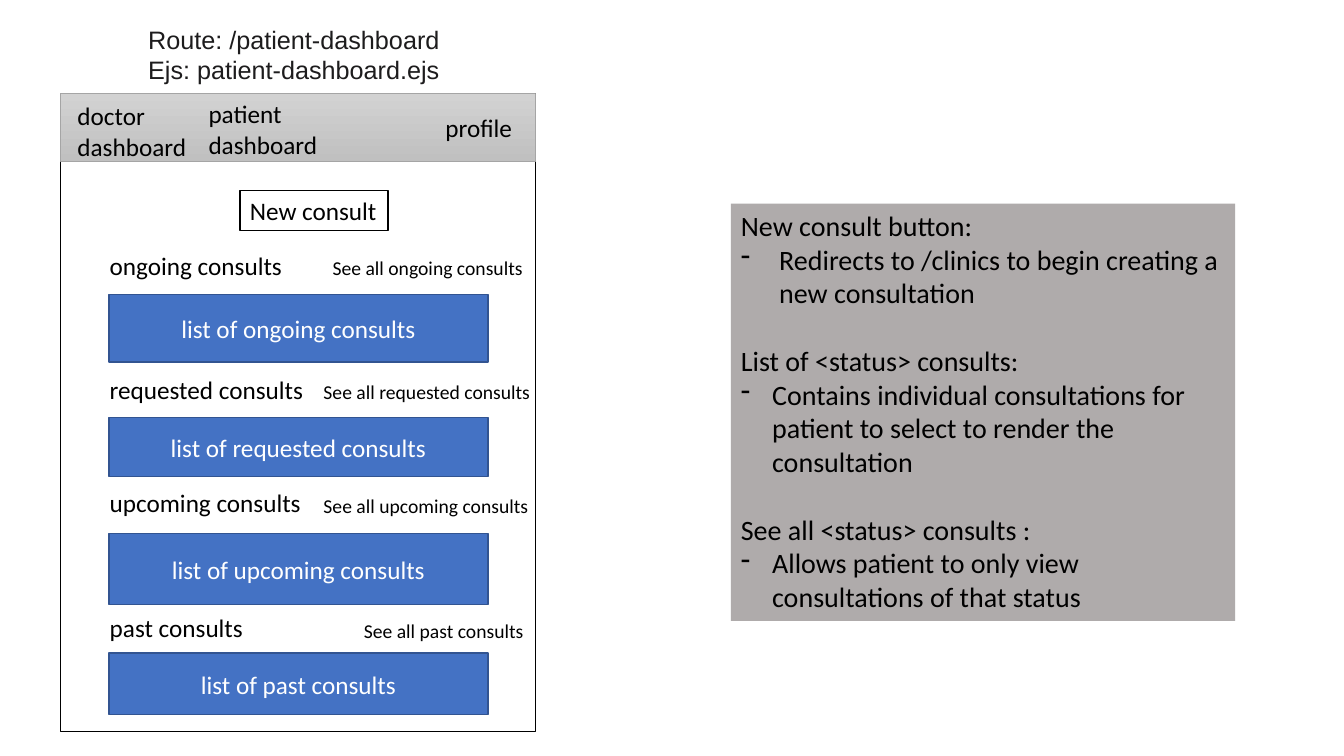
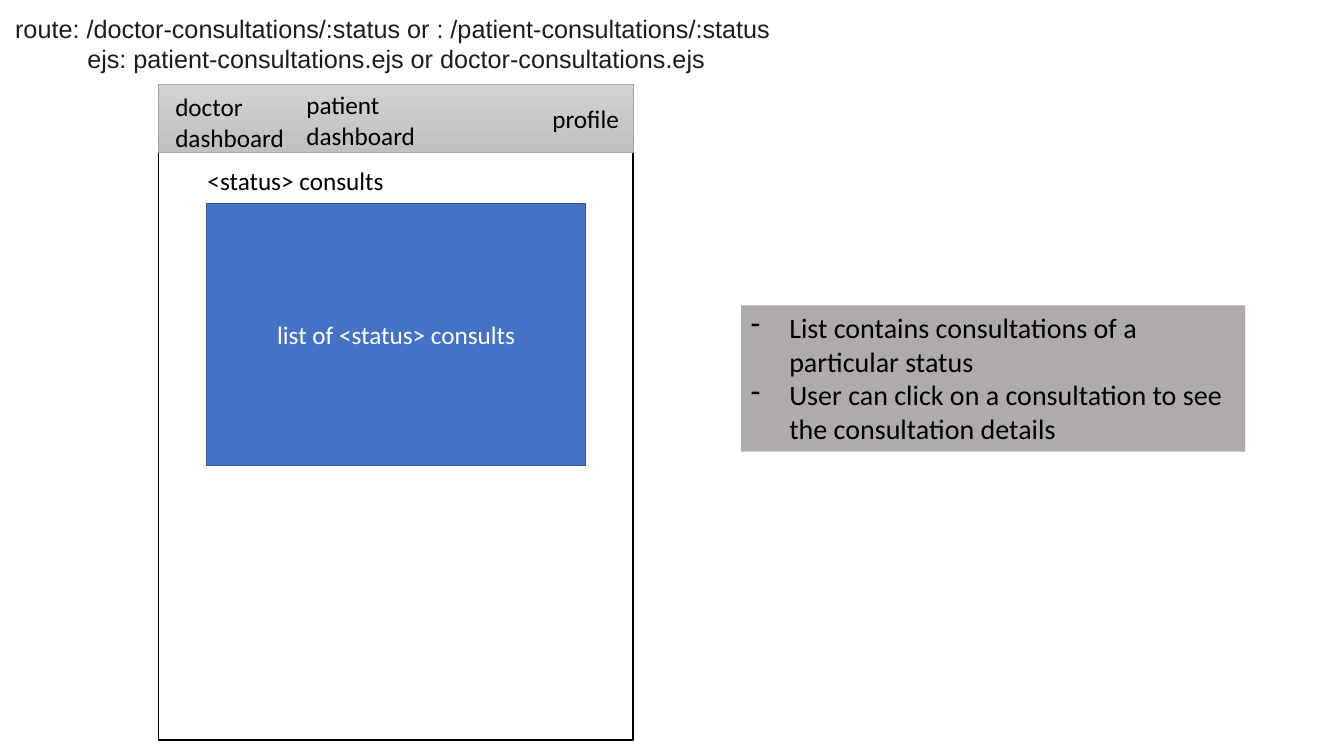
from lxml import etree
from pptx import Presentation
from pptx.dml.color import RGBColor
from pptx.enum.shapes import MSO_SHAPE
from pptx.enum.text import MSO_ANCHOR, MSO_AUTO_SIZE, PP_ALIGN
from pptx.oxml.ns import qn
from pptx.util import Inches, Pt

RECT = MSO_SHAPE.RECTANGLE
TOP, MIDDLE = MSO_ANCHOR.TOP, MSO_ANCHOR.MIDDLE
LEFT, CENTER = PP_ALIGN.LEFT, PP_ALIGN.CENTER
GROW = MSO_AUTO_SIZE.SHAPE_TO_FIT_TEXT
COLORS = {
    "black": "000000", "white": "FFFFFF", "title": "1D1C1D",
    "list": "4472C4", "list_edge": "325491", "note": "AFABAB",
    "nav_top": "D2D2D2", "nav_bottom": "C0C0C0", "nav_edge": "A5A5A5",
}
PAGE_WIDTH, NAV_HEIGHT = 4.71, 0.67
LIST_INDENT, LABEL_INDENT, LIST_WIDTH = 0.48, 0.39, 3.76


def rgb(name):
    """Return the palette colour called name."""
    return RGBColor.from_string(COLORS[name])


class Wireframe:
    """Draws page mock-ups in one shared style."""

    def __init__(self):
        """Open an empty widescreen deck."""
        self.deck = Presentation()
        self.deck.slide_width, self.deck.slide_height = Inches(13.33), Inches(7.5)
        self.shapes = None

    def new_slide(self):
        """Start a blank slide."""
        self.shapes = self.deck.slides.add_slide(self.deck.slide_layouts[6]).shapes

    def box(self, at, fill=None, edge=None, weight=1):
        """Add a rectangle with an optional fill and outline."""
        rect = self.shapes.add_shape(RECT, *map(Inches, at))
        rect.shadow.inherit = False
        if fill:
            rect.fill.solid()
            rect.fill.fore_color.rgb = rgb(fill)
        else:
            rect.fill.background()
        if edge:
            rect.line.color.rgb = rgb(edge)
            rect.line.width = Pt(weight)
        else:
            rect.line.fill.background()
        return rect

    def set_text(self, shape, lines, size=18, color="black", align=LEFT,
                 anchor=TOP, font="Calibri"):
        """Put one paragraph per line into a shape and return them."""
        frame = shape.text_frame
        frame.word_wrap = True
        frame.vertical_anchor = anchor
        if anchor == TOP:
            frame.auto_size = GROW
        frame.text = "\n".join(lines)
        for paragraph in frame.paragraphs:
            paragraph.alignment = align
            paragraph.font.size, paragraph.font.name = Pt(size), font
            paragraph.font.color.rgb = rgb(color)
        return frame.paragraphs

    def label(self, at, *lines, **style):
        """Add a plain text box."""
        self.set_text(self.shapes.add_textbox(*map(Inches, at)), lines, **style)

    def title(self, at, *lines):
        """Add the route and template heading."""
        self.label(at, *lines, color="title", align=CENTER, font="Arial")

    def consult_list(self, page_left, top, height, status):
        """Add the blue block standing for a list of consults."""
        block = self.box((page_left + LIST_INDENT, top, LIST_WIDTH, height),
                         "list", "list_edge")
        self.set_text(block, [f"list of {status} consults"], color="white",
                      align=CENTER, anchor=MIDDLE)

    def status_label(self, page_left, top, status):
        """Add the heading above a list of consults."""
        self.label((page_left + LABEL_INDENT, top, 3.86, 0.4), f"{status} consults")

    def nav_bar(self, left, top, profile_width):
        """Add the grouped navigation bar of a page."""
        slide_shapes = self.shapes
        self.shapes = slide_shapes.add_group_shape().shapes
        bar = self.box((left, top, PAGE_WIDTH, NAV_HEIGHT), "nav_top", "nav_edge", 0.5)
        bar.fill.gradient()
        bar.fill.gradient_angle = 270
        for stop, name in zip(bar.fill.gradient_stops, ("nav_top", "nav_bottom")):
            stop.color.rgb = rgb(name)
        self.label((left + PAGE_WIDTH - profile_width, top + 0.14, profile_width, 0.4),
                   "profile")
        self.label((left + 0.07, top + 0.02, 1.37, 0.71), "doctor\vdashboard")
        self.label((left + 1.37, top, 1.37, 0.71), "patient\vdashboard")
        self.shapes = slide_shapes

    def note(self, at, entries):
        """Add a grey note; entries are (text, dash indent or 0)."""
        panel = self.box(at, "note")
        paragraphs = self.set_text(panel, [text for text, _ in entries], size=20)
        for index, (paragraph, (_, indent)) in enumerate(zip(paragraphs, entries)):
            if indent:
                props = paragraph._p.get_or_add_pPr()
                props.set("marL", str(Inches(indent)))
                props.set("indent", str(-Inches(indent)))
                dash = etree.Element(qn("a:buChar"), char="-")
                props.find(qn("a:defRPr")).addprevious(dash)
            elif index:
                paragraph.space_before = Pt(24.4)


def patient_dashboard(wire):
    """Build the patient dashboard page."""
    wire.new_slide()
    left, top = 0.6, 0.93
    wire.box((left, top, PAGE_WIDTH, 6.33), edge="black")
    wire.title((1.35, 0.19, 3.13, 0.71),
               "Route: /patient-dashboard", "Ejs: patient-dashboard.ejs")
    wire.nav_bar(left, top, 0.99)
    wire.set_text(wire.box((2.38, 1.89, 1.47, 0.4), "white", "black"), ["New consult"])
    # status, label top, list top, list height, link left, link width
    sections = [
        ("ongoing", 2.43, 2.92, 0.67, 3.2, 2.11),
        ("requested", 3.66, 4.14, 0.59, 3.11, 2.29),
        ("upcoming", 4.79, 5.29, 0.71, 3.11, 2.29),
        ("past", 6.03, 6.48, 0.61, 3.51, 1.81),
    ]
    for status, label_top, list_top, height, link_left, link_width in sections:
        wire.status_label(left, label_top, status)
        wire.consult_list(left, list_top, height, status)
        wire.label((link_left, label_top + 0.06, link_width, 0.34),
                   f"See all {status} consults", size=14)
    wire.note((7.25, 2.02, 5, 4.14), [
        ("New consult button:", 0),
        ("Redirects to /clinics to begin creating a new consultation", 0.38),
        ("List of <status> consults:", 0),
        ("Contains individual consultations for patient to select to render "
         "the consultation", 0.31),
        ("See all <status> consults :", 0),
        ("Allows patient to only view consultations of that status", 0.31),
    ])


def consultations_by_status(wire):
    """Build the page listing consultations of one status."""
    wire.new_slide()
    left, top = 1.57, 0.84
    wire.box((left, top, PAGE_WIDTH, 6.5), edge="black")
    wire.status_label(left, 1.59, "<status>")
    wire.consult_list(left, 2.02, 2.6, "<status>")
    wire.title((0, 0.08, 7.86, 0.71),
               "route: /doctor-consultations/:status or : /patient-consultations/:status \v"
               "ejs: patient-consultations.ejs or doctor-consultations.ejs")
    wire.nav_bar(left, top, 0.9)
    wire.note((7.35, 3.03, 5, 1.45), [
        ("List contains consultations of a particular status", 0.38),
        ("User can click on a consultation to see the consultation details", 0.38),
    ])


wireframe = Wireframe()
patient_dashboard(wireframe)
consultations_by_status(wireframe)
wireframe.deck.save("out.pptx")
